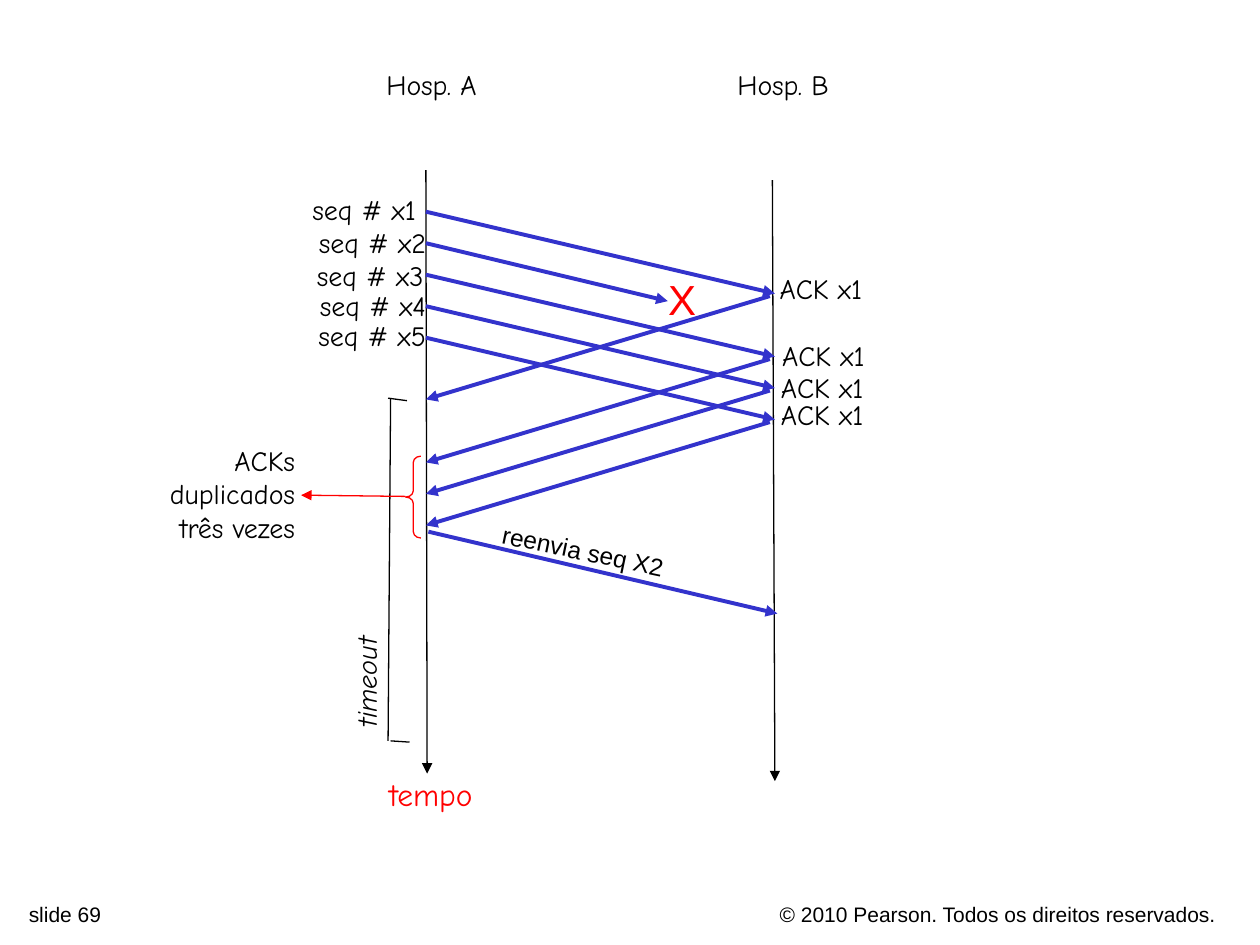
import pptx
import pptx.dml.color
import pptx.enum.shapes
import pptx.enum.text
import pptx.oxml.ns
import pptx.util
from lxml import etree

Inches = pptx.util.Inches
ALIGN = pptx.enum.text.PP_ALIGN
HAND = "Comic Neue"
BLACK, RED, BLUE = "000000", "FF0000", "3333CC"
LEFT_HOST, RIGHT_HOST = 3.38, 6.15


def color(value):
    return pptx.dml.color.RGBColor.from_string(value)


def add_text(slide, text, left, top, width, height, size=16, font=HAND,
             ink=BLACK, align=ALIGN.LEFT, italic=False, rotation=0):
    box = slide.shapes.add_textbox(
        Inches(left), Inches(top), Inches(width), Inches(height))
    box.rotation = rotation
    box.text_frame.word_wrap = True
    para = box.text_frame.paragraphs[0]
    para.text = text
    para.alignment = align
    para.font.size = pptx.util.Pt(size)
    para.font.name = font
    para.font.italic = italic
    para.font.color.rgb = color(ink)


def add_line(slide, start, end, ink=BLACK, weight=0.75, arrow=True):
    line = slide.shapes.add_connector(
        pptx.enum.shapes.MSO_CONNECTOR.STRAIGHT,
        *(Inches(value) for value in (*start, *end)))
    line.line.color.rgb = color(ink)
    line.line.width = pptx.util.Pt(weight)
    properties = line._element.spPr
    etree.SubElement(properties, pptx.oxml.ns.qn("a:effectLst"))
    if arrow:
        outline = line.line._get_or_add_ln()
        etree.SubElement(outline, pptx.oxml.ns.qn("a:tailEnd"), type="triangle")


def add_message(slide, start, end):
    add_line(slide, start, end, BLUE, 2.25)


def add_brace(slide, left, top, width, height):
    brace = slide.shapes.add_shape(
        pptx.enum.shapes.MSO_SHAPE.LEFT_BRACE,
        Inches(left), Inches(top), Inches(width), Inches(height))
    brace.adjustments[0] = 0.42
    brace.shadow.inherit = False
    brace.fill.background()
    brace.line.color.rgb = color(RED)
    brace.line.width = pptx.util.Pt(0.75)


def add_footer(slide):
    add_text(slide, "© 2010 Pearson. Todos os direitos reservados.",
             4.64, 7.11, 5.11, 0.24, 12, "Arial", align=ALIGN.RIGHT)
    add_text(slide, "slide 69", 0.13, 7.11, 3.52, 0.23, 12, "Arial")


def add_hosts(slide):
    for name, left in (("Hosp. A", 2.92), ("Hosp. B", 5.71)):
        add_text(slide, name, left, 0.49, 1.01, 0.37, align=ALIGN.CENTER)
    add_line(slide, (LEFT_HOST, 1.35), (3.39, 6.14))
    add_line(slide, (6.13, 1.43), (RIGHT_HOST, 6.2))
    add_text(slide, "tempo", 2.92, 6.1, 1, 0.4, 18, ink=RED,
             align=ALIGN.CENTER)


def add_segments(slide):
    labels = ((3.4, 1.48), (3.48, 1.74), (3.46, 2), (3.48, 2.24), (3.48, 2.48))
    for number, (right, top) in enumerate(labels, start=1):
        add_text(slide, f"seq # x{number}", right - 1.3, top, 1.3, 0.37,
                 align=ALIGN.RIGHT)
        sent = 1.43 + 0.25 * number
        lost = number == 2
        end = (5.3, sent + 0.46) if lost else (RIGHT_HOST, sent + 0.65)
        add_message(slide, (LEFT_HOST, sent), end)
    add_text(slide, "X", 5.2, 2.12, 0.43, 0.5, 24, "Arial", RED, ALIGN.CENTER)


def add_acknowledgements(slide):
    replies = ((6.09, 2.11, 2.35), (6.11, 2.64, 2.85),
               (6.1, 2.89, 3.1), (6.1, 3.11, 3.35))
    for left, top, sent in replies:
        add_text(slide, "ACK x1", left, top, 1.3, 0.37)
        add_message(slide, (6.11, sent), (LEFT_HOST, sent + 0.82))


def add_timeout(slide):
    add_line(slide, (3.1, 3.16), (3.08, 5.88), arrow=False)
    add_line(slide, (3.08, 3.16), (3.23, 3.18), arrow=False)
    add_line(slide, (3.1, 5.88), (3.25, 5.89), arrow=False)
    add_text(slide, "timeout", 2.33, 5.23, 1.15, 0.37,
             align=ALIGN.CENTER, italic=True, rotation=270)


def add_retransmission(slide):
    add_brace(slide, 3.22, 3.62, 0.12, 0.65)
    add_line(slide, (3.22, 3.94), (2.39, 3.93), RED)
    add_text(slide, "ACKs\nduplicados\ntrês vezes", 1.14, 3.47, 1.3, 0.9,
             align=ALIGN.RIGHT)
    add_message(slide, (3.4, 4.22), (6.17, 4.87))
    add_text(slide, "reenvia seq X2", 3.87, 4.28, 2.22, 0.34, 14, "Arial",
             rotation=11.9)


def main():
    deck = pptx.Presentation()
    deck.slide_width, deck.slide_height = Inches(10), Inches(7.5)
    slide = deck.slides.add_slide(deck.slide_layouts[6])
    add_footer(slide)
    add_hosts(slide)
    add_segments(slide)
    add_acknowledgements(slide)
    add_timeout(slide)
    add_retransmission(slide)
    deck.save("out.pptx")


if __name__ == "__main__":
    main()
